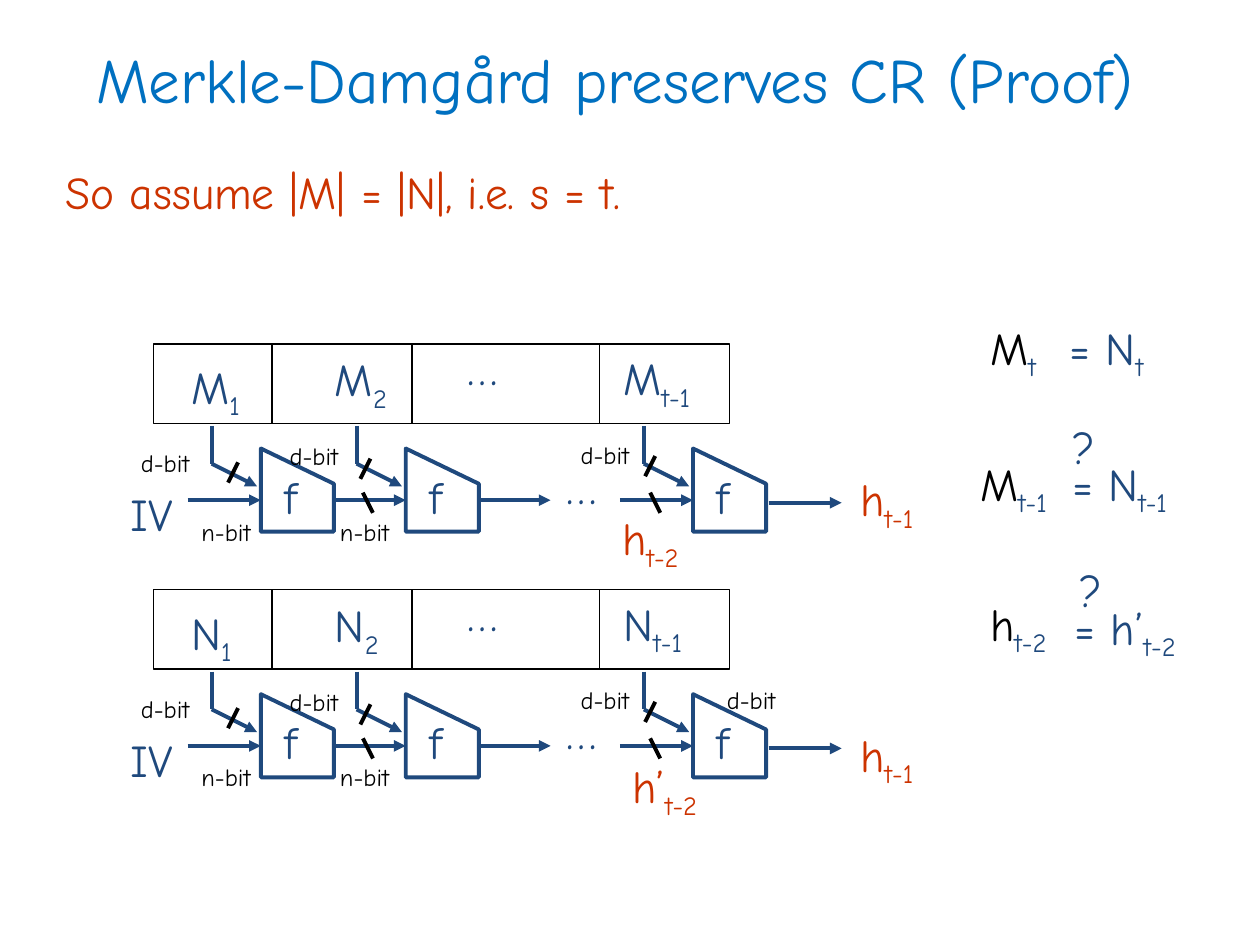
from dataclasses import dataclass

from lxml.etree import SubElement
from pptx import Presentation
from pptx.dml.color import RGBColor
from pptx.enum.shapes import MSO_CONNECTOR, MSO_SHAPE
from pptx.enum.text import MSO_ANCHOR, MSO_AUTO_SIZE, PP_ALIGN
from pptx.oxml.ns import qn
from pptx.util import Emu, Pt

SCALE = 9144  # EMU in one px, 100 px to the inch


@dataclass(frozen=True)
class Theme:
    font: str = "Comic Neue"
    navy: str = "1F497D"
    black: str = "000000"
    red: str = "CC3300"
    blue: str = "0070C0"
    title: int = 36
    body: int = 26
    small: int = 14
    thick: float = 2.25
    thin: float = 0.75


def px(n):
    return Emu(n * SCALE)


def rgb(value):
    return RGBColor.from_string(value)


class Deck:
    def __init__(self, theme):
        self.t = theme
        self.prs = Presentation()
        self.prs.slide_width, self.prs.slide_height = px(1000), px(750)
        self.s = self.prs.slides.add_slide(self.prs.slide_layouts[5])

    def style(self, font, size, color):
        font.name, font.size = self.t.font, Pt(size)
        font.color.rgb = rgb(color)

    def title(self, text, x, y, w, h):
        sp = self.s.shapes.title
        sp.left, sp.top, sp.width, sp.height = map(px, (x, y, w, h))
        tf = sp.text_frame
        tf.text, tf.vertical_anchor = text, MSO_ANCHOR.MIDDLE
        p = tf.paragraphs[0]
        p.alignment = PP_ALIGN.CENTER
        self.style(p.font, self.t.title, self.t.blue)

    def text(self, text, x, y, w, color=None, size=None, wrap=False, sub_color=None):
        """Add a text box; whatever follows an underscore is a subscript."""
        size, color = size or self.t.body, color or self.t.navy
        sp = self.s.shapes.add_textbox(*map(px, (x, y, w, 2 * size)))
        tf = sp.text_frame
        tf.word_wrap, tf.auto_size = wrap, MSO_AUTO_SIZE.SHAPE_TO_FIT_TEXT
        p = tf.paragraphs[0]
        self.style(p.font, size, color)
        base, _, sub = text.partition("_")
        p.add_run().text = base
        if sub:
            r = p.add_run()
            r.text = sub
            r._r.get_or_add_rPr().set("baseline", "-25000")
            if sub_color:
                r.font.color.rgb = rgb(sub_color)

    def bits(self, text, x, y):
        self.text(text, x, y, 87, self.t.black, self.t.small, wrap=True)

    def line(self, x1, y1, x2, y2, color=None, width=None, arrow=False):
        sp = self.s.shapes.add_connector(
            MSO_CONNECTOR.STRAIGHT, *map(px, (x1, y1, x2, y2)))
        sp.line.color.rgb = rgb(color or self.t.navy)
        sp.line.width = Pt(width or self.t.thick)
        if arrow:
            SubElement(sp.line._get_or_add_ln(), qn("a:tailEnd"), type="triangle")
        SubElement(sp._element.spPr, qn("a:effectLst"))

    def tick(self, x, y, dx):
        self.line(x, y, x + dx, y + 16, self.t.black)

    def outline(self, sp, color, width):
        sp.fill.background()
        sp.line.color.rgb, sp.line.width = rgb(color), Pt(width)
        sp.shadow.inherit = False

    def rect(self, x, y, w, h):
        sp = self.s.shapes.add_shape(MSO_SHAPE.RECTANGLE, *map(px, (x, y, w, h)))
        self.outline(sp, self.t.black, self.t.thin)

    def polygon(self, points):
        builder = self.s.shapes.build_freeform(*points[0], scale=SCALE)
        builder.add_line_segments(points[1:], close=True)
        self.outline(builder.convert_to_shape(), self.t.navy, self.t.thick)


def compression(deck, x, y, tick_x, tick_y, label_x, label_y):
    """Draw one f box with its block and chaining inputs; y is the message top."""
    deck.polygon([(x, y + 83), (x + 58, y + 111), (x + 58, y + 149), (x, y + 149)])
    deck.line(x - 58, y + 124, x, y + 124, arrow=True)
    deck.line(x - 39, y + 65, x - 39, y + 95)
    deck.line(x - 39, y + 95, x - 3, y + 113, arrow=True)
    deck.text("f", x + 9, y + 94, 39)
    deck.bits("d-bit", label_x, y + label_y)
    deck.tick(tick_x, y + tick_y, -8)


def chain(deck, letter, y, narrower):
    """Draw a message of blocks and the chain of f boxes under it."""
    deck.rect(122, y, 457, 63)
    for x in (216, 327, 476):
        deck.line(x, y, x, y + 63, deck.t.black, deck.t.thin)
    for sub, x, dy, w in (("1", 142, 7, 63), ("2", 256, 1, 66), ("t-1", 485, 0, 84)):
        deck.text(f"{letter}_{sub}", x, y + dy, w - narrower)

    compression(deck, 207, y, 189, 94, 102, 78)
    compression(deck, 322, y, 294, 91, 220, 72)
    compression(deck, 550, y, 520, 89, 451, 71)
    for x in (288, 516):
        deck.tick(x, y + 118, 8)
    for x in (150, 260):
        deck.bits("n-bit", x, y + 132)

    deck.text("IV", 94, y + 108, 63)
    deck.text("…", 361, y - 8, 44)
    deck.text("…", 440, y + 86, 44)
    deck.line(380, y + 124, 437, y + 124, arrow=True)
    deck.line(610, y + 126, 668, y + 126, arrow=True)


def main():
    t = Theme()
    deck = Deck(t)
    deck.title("Merkle-Damgård preserves CR (Proof) ", 20, 0, 953, 125)
    deck.text("So assume |M| = |N|, i.e. s = t.", 42, 125, 933, t.red, wrap=True)

    chain(deck, "M", 273, 0)
    chain(deck, "N", 468, 3)
    deck.bits("d-bit", 567, 539)

    for y in (369, 572):
        deck.text("h_t-1", 673, y, 73, t.red)
    deck.text("h_t-2", 484, 400, 110, t.red, wrap=True)
    deck.text("h’_t-2", 492, 597, 110, t.red, wrap=True)

    for left, x, y, right, right_x, right_y in (
        ("M_t", 776, 249, "= N_t", 839, 249),
        ("M_t-1", 768, 357, "= N_t-1", 841, 357),
        ("h_t-2", 776, 468, "= h’_t-2", 843, 471),
    ):
        deck.text(left, x, y, 110, t.black, wrap=True, sub_color=t.navy)
        deck.text(right, right_x, right_y, 138, wrap=True)
    for x, y in ((841, 328), (847, 441)):
        deck.text("?", x, y, 92, wrap=True)

    deck.prs.save("out.pptx")


if __name__ == "__main__":
    main()
